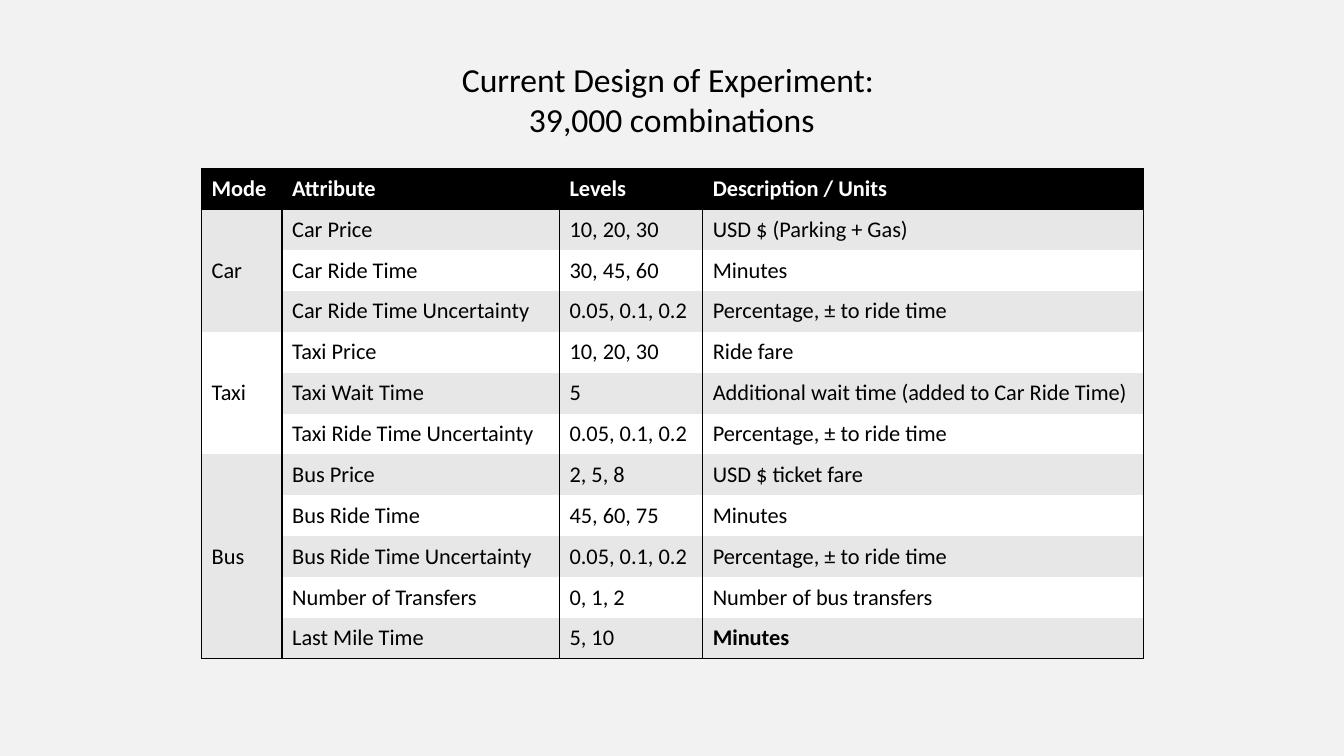
from dataclasses import dataclass
from itertools import accumulate

from lxml.etree import SubElement
from pptx import Presentation
from pptx.dml.color import RGBColor
from pptx.enum.text import MSO_ANCHOR as Anchor, MSO_AUTO_SIZE as AutoSize, PP_ALIGN as Align
from pptx.oxml.ns import qn
from pptx.slide import Slide
from pptx.table import Table, _Cell as Cell
from pptx.text.text import _Paragraph as Paragraph
from pptx.util import Cm, Pt


@dataclass(frozen=True)
class Theme:
    font: str = "Calibri"
    title_size: int = 24
    table_size: int = 16
    background: str = "F2F2F2"
    black: str = "000000"
    white: str = "FFFFFF"
    band: str = "E7E7E7"
    plain_table_style: str = "{2D5ABB26-0587-4C30-8999-92F81FD0307C}"


@dataclass(frozen=True)
class Attribute:
    name: str
    levels: str
    description: str
    bold_description: bool = False


@dataclass(frozen=True)
class Mode:
    name: str
    attributes: tuple[Attribute, ...]


THEME = Theme()
TITLE = ("Current Design of Experiment: ", "39,000 combinations")
HEADINGS = ("Mode", "Attribute", "Levels", "Description / Units")
COLUMN_WIDTHS = (2.03, 6.99, 3.61, 11.1)
ROW_HEIGHT = 1.03
UNCERTAINTY = ("0.05, 0.1, 0.2", "Percentage, ± to ride time")
MODES = (
    Mode("Car", (
        Attribute("Car Price", "10, 20, 30", "USD $ (Parking + Gas)"),
        Attribute("Car Ride Time", "30, 45, 60", "Minutes"),
        Attribute("Car Ride Time Uncertainty", *UNCERTAINTY),
    )),
    Mode("Taxi", (
        Attribute("Taxi Price", "10, 20, 30", "Ride fare"),
        Attribute("Taxi Wait Time", "5", "Additional wait time (added to Car Ride Time)"),
        Attribute("Taxi Ride Time Uncertainty", *UNCERTAINTY),
    )),
    Mode("Bus", (
        Attribute("Bus Price", "2, 5, 8", "USD $ ticket fare"),
        Attribute("Bus Ride Time", "45, 60, 75", "Minutes"),
        Attribute("Bus Ride Time Uncertainty", *UNCERTAINTY),
        Attribute("Number of Transfers", "0, 1, 2", "Number of bus transfers"),
        Attribute("Last Mile Time", "5, 10", "Minutes", bold_description=True),
    )),
)


def set_values(target: object, values: dict[str, object]) -> None:
    for name, value in values.items():
        setattr(target, name, value)


def format_text(paragraph: Paragraph, size: int, color: str, bold: bool = False) -> None:
    for run in paragraph.runs:
        set_values(run.font, {"name": THEME.font, "size": Pt(size), "bold": bold})
        run.font.color.rgb = RGBColor.from_string(color)


def set_borders(cell: Cell, widths: dict[str, int]) -> None:
    """Draw black borders; widths are points by side letter, in the order L, R, T, B."""
    properties = cell._tc.get_or_add_tcPr()
    for position, (side, width) in enumerate(widths.items()):
        line = SubElement(properties, qn(f"a:ln{side}"), w=str(Pt(width)))
        fill = SubElement(line, qn("a:solidFill"))
        SubElement(fill, qn("a:srgbClr"), val=THEME.black)
        properties.insert(position, line)


def fill_cell(cell: Cell, text: str, fill: str, color: str, bold: bool = False) -> None:
    cell.text = text
    cell.vertical_anchor = Anchor.MIDDLE
    cell.fill.solid()
    cell.fill.fore_color.rgb = RGBColor.from_string(fill)
    format_text(cell.text_frame.paragraphs[0], THEME.table_size, color, bold)


def add_title(slide: Slide) -> None:
    title = slide.shapes.title
    set_values(title, {"left": Cm(11.33), "top": Cm(1.35), "width": Cm(11.2), "height": Cm(2.31)})
    frame = title.text_frame
    frame.text = "\n".join(TITLE)
    set_values(frame, {"word_wrap": False, "auto_size": AutoSize.SHAPE_TO_FIT_TEXT,
                       "vertical_anchor": Anchor.TOP})
    for paragraph in frame.paragraphs:
        paragraph.alignment = Align.CENTER
        format_text(paragraph, THEME.title_size, THEME.black)


def fill_header(table: Table) -> None:
    for column, heading in enumerate(HEADINGS):
        cell = table.cell(0, column)
        fill_cell(cell, heading, THEME.black, THEME.white, bold=True)
        set_borders(cell, {"L": 1, "R": 1, "T": 1, "B": 2})


def fill_mode(table: Table, mode: Mode, first_row: int) -> None:
    last_row = first_row + len(mode.attributes) - 1
    for row, attribute in enumerate(mode.attributes, first_row):
        texts = (mode.name if row == first_row else "",
                 attribute.name, attribute.levels, attribute.description)
        for column, text in enumerate(texts):
            cell = table.cell(row, column)
            bold = attribute.bold_description and column == len(texts) - 1
            fill_cell(cell, text, THEME.band if row % 2 else THEME.white, THEME.black, bold)
            bottom_row = last_row if column == 0 else row
            at_bottom = bottom_row == len(table.rows) - 1
            set_borders(cell, {"L": 1, "R": 1} | ({"B": 1} if at_bottom else {}))
    table.cell(first_row, 0).merge(table.cell(last_row, 0))


def add_design_table(slide: Slide) -> None:
    counts = [len(mode.attributes) for mode in MODES]
    row_count = 1 + sum(counts)
    table = slide.shapes.add_table(
        row_count, len(HEADINGS), Cm(5.08), Cm(4.24),
        Cm(sum(COLUMN_WIDTHS)), Cm(ROW_HEIGHT * row_count)).table
    table._tbl.tblPr.find(qn("a:tableStyleId")).text = THEME.plain_table_style
    for column, width in zip(table.columns, COLUMN_WIDTHS):
        column.width = Cm(width)
    for row in table.rows:
        row.height = Cm(ROW_HEIGHT)
    fill_header(table)
    for mode, first_row in zip(MODES, accumulate(counts, initial=1)):
        fill_mode(table, mode, first_row)


def main() -> None:
    presentation = Presentation()
    set_values(presentation, {"slide_width": Cm(33.87), "slide_height": Cm(19.05)})
    slide = presentation.slides.add_slide(presentation.slide_layouts.get_by_name("Title Only"))
    slide.background.fill.solid()
    slide.background.fill.fore_color.rgb = RGBColor.from_string(THEME.background)
    add_title(slide)
    add_design_table(slide)
    presentation.save("out.pptx")


if __name__ == "__main__":
    main()
